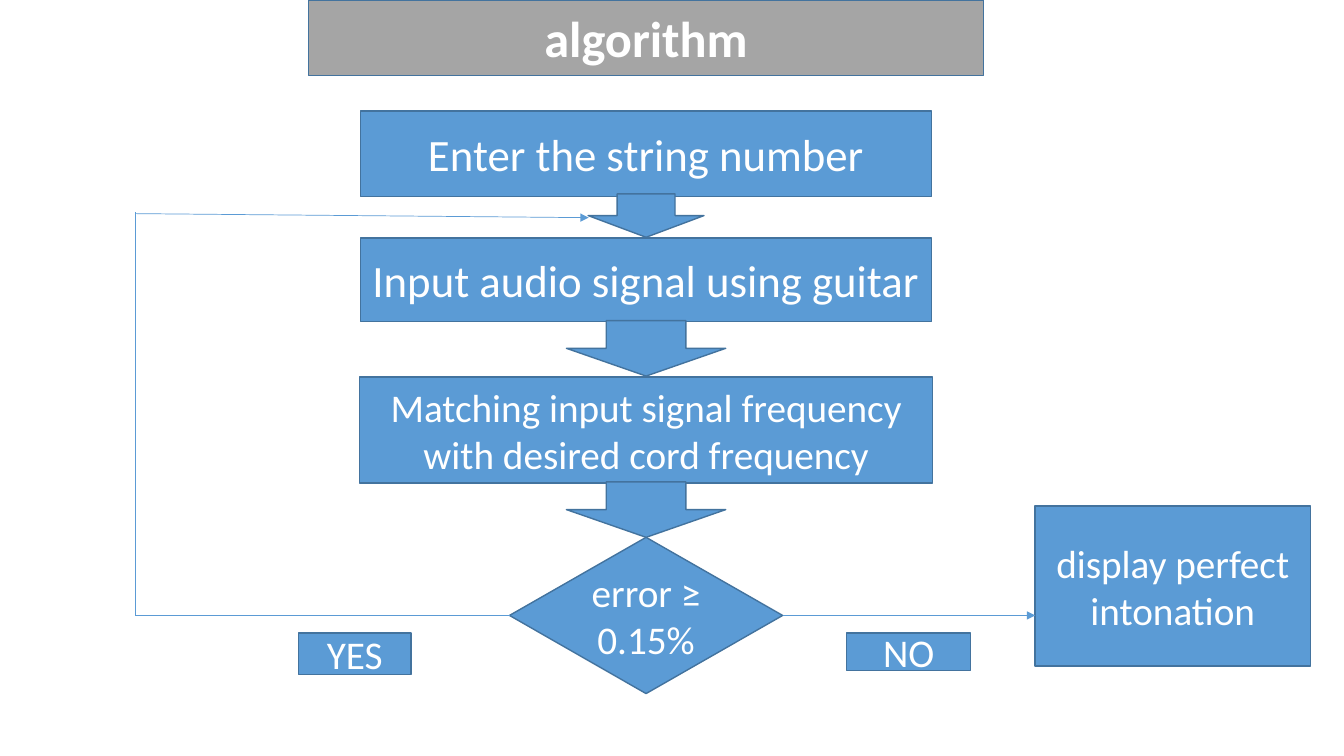
from dataclasses import dataclass

from lxml import etree
from pptx import Presentation
from pptx.dml.color import RGBColor
from pptx.enum.shapes import MSO_CONNECTOR, MSO_SHAPE
from pptx.enum.text import MSO_ANCHOR, MSO_AUTO_SIZE, PP_ALIGN
from pptx.oxml.ns import qn
from pptx.shapes.autoshape import Shape
from pptx.shapes.connector import Connector
from pptx.slide import Slide
from pptx.util import Pt

RECTANGLE = MSO_SHAPE.RECTANGLE
DOWN_ARROW = MSO_SHAPE.DOWN_ARROW
DIAMOND = MSO_SHAPE.DIAMOND
STRAIGHT = MSO_CONNECTOR.STRAIGHT
MIDDLE = MSO_ANCHOR.MIDDLE
CENTER = PP_ALIGN.CENTER
NO_AUTO_SIZE = MSO_AUTO_SIZE.NONE

COLORS = {"blue": "5B9BD5", "outline": "43739E", "gray": "A5A5A5", "white": "FFFFFF"}
FONT = "Calibri"
FLOW_CENTER = 461.5
LEFT_SIDE, RIGHT_SIDE = 1, 3


@dataclass(frozen=True)
class Block:
    center: float
    top: float
    width: float
    height: float
    text: str = ""
    size: float = 28
    kind: MSO_SHAPE = RECTANGLE

    @property
    def left(self) -> float:
        return self.center - self.width / 2

    @property
    def middle(self) -> float:
        return self.top + self.height / 2


@dataclass(frozen=True)
class Link:
    start: tuple[float, float]
    end: tuple[float, float]
    arrow: bool = False
    decision_side: int | None = None


TITLE = Block(FLOW_CENTER, 0, 482.4, 54, "algorithm", 36)
DECISION = Block(FLOW_CENTER, 383.8, 195.1, 111.6, "error ≥ 0.15%", kind=DIAMOND)
STEPS = [
    Block(FLOW_CENTER, 79.2, 408.2, 61.2, "Enter the string number", 32),
    Block(FLOW_CENTER, 169.9, 408.2, 59.8, "Input audio signal using guitar", 32),
    Block(FLOW_CENTER, 269.3, 409, 75.6,
          "Matching input signal frequency with desired cord frequency"),
    DECISION,
    Block(837.7, 361.4, 196.6, 114.5, "display perfect intonation"),
    Block(253.4, 452.2, 80.6, 29.5, "YES"),
    Block(649.1, 452.2, 88.6, 26.6, "NO"),
]
ARROWS = [
    Block(FLOW_CENTER, 138.5, 82.8, 31, kind=DOWN_ARROW),
    Block(FLOW_CENTER, 229, 113.8, 39.6, kind=DOWN_ARROW),
    Block(FLOW_CENTER, 344.2, 113.8, 39.6, kind=DOWN_ARROW),
]
RETURN_X = 96.5
RETURN_TOP = 151.2
DISPLAY_LEFT = 739.4
LINKS = [
    Link((DECISION.left, DECISION.middle), (RETURN_X, DECISION.middle),
         decision_side=LEFT_SIDE),
    Link((RETURN_X, DECISION.middle), (RETURN_X, RETURN_TOP)),
    Link((RETURN_X, 152.6), (420.5, 155.5), arrow=True),
    Link((DECISION.left + DECISION.width, DECISION.middle),
         (DISPLAY_LEFT, DECISION.middle), arrow=True, decision_side=RIGHT_SIDE),
]


def color(name: str) -> RGBColor:
    return RGBColor.from_string(COLORS[name])


def format_shape(shape: Shape, block: Block, fill: str = "blue") -> None:
    shape.fill.solid()
    shape.fill.fore_color.rgb = color(fill)
    shape.line.color.rgb = color("outline")
    shape.line.width = Pt(1)
    if not block.text:
        return
    frame = shape.text_frame
    frame.text = block.text
    frame.word_wrap = True
    frame.auto_size = NO_AUTO_SIZE
    frame.vertical_anchor = MIDDLE
    paragraph = frame.paragraphs[0]
    paragraph.alignment = CENTER
    paragraph.font.name = FONT
    paragraph.font.size = Pt(block.size)
    paragraph.font.color.rgb = color("white")


def add_title(slide: Slide, block: Block) -> None:
    title = slide.shapes.title
    title.left, title.top = Pt(block.left), Pt(block.top)
    title.width, title.height = Pt(block.width), Pt(block.height)
    format_shape(title, block, "gray")
    title.text_frame.paragraphs[0].font.bold = True


def add_block(slide: Slide, block: Block) -> Shape:
    shape = slide.shapes.add_shape(
        block.kind, Pt(block.left), Pt(block.top), Pt(block.width), Pt(block.height))
    shape.shadow.inherit = False
    format_shape(shape, block)
    return shape


def add_link(slide: Slide, link: Link, decision: Shape) -> Connector:
    connector = slide.shapes.add_connector(
        STRAIGHT, *map(Pt, link.start), *map(Pt, link.end))
    if link.decision_side is not None:
        connector.begin_connect(decision, link.decision_side)
    connector.line.color.rgb = color("blue")
    connector.line.width = Pt(0.5)
    properties = connector.line._get_or_add_ln()
    if link.arrow:
        etree.SubElement(properties, qn("a:tailEnd"), type="triangle")
    etree.SubElement(properties.getparent(), qn("a:effectLst"))
    return connector


def main() -> None:
    presentation = Presentation()
    presentation.slide_width = Pt(960)
    presentation.slide_height = Pt(540)
    slide = presentation.slides.add_slide(presentation.slide_layouts[5])
    add_title(slide, TITLE)
    shapes = {block: add_block(slide, block) for block in STEPS + ARROWS}
    for link in LINKS:
        add_link(slide, link, shapes[DECISION])
    presentation.save("out.pptx")


if __name__ == "__main__":
    main()
